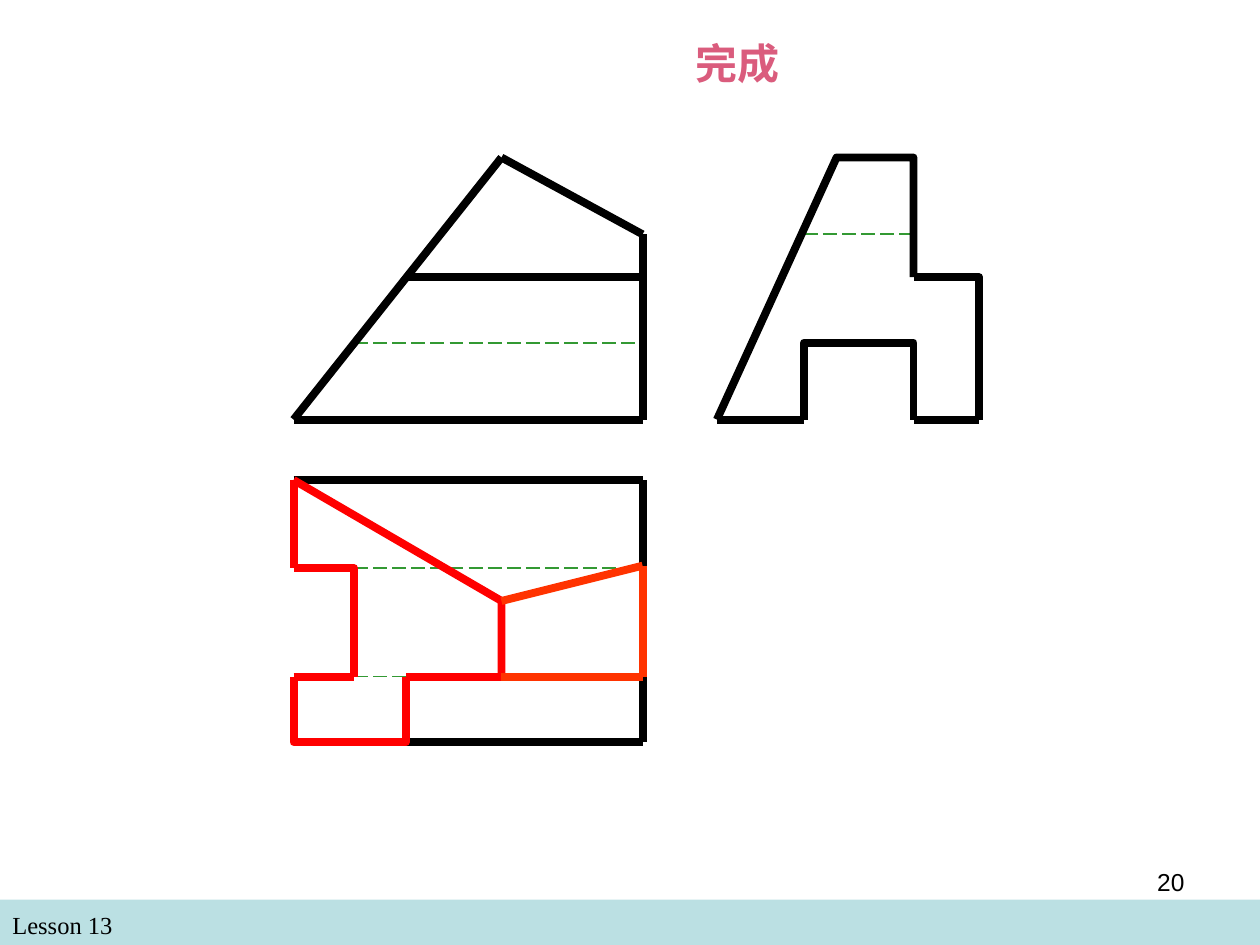
from pptx import Presentation
from pptx.dml.color import RGBColor
from pptx.enum.dml import MSO_LINE
from pptx.enum.shapes import MSO_CONNECTOR, MSO_SHAPE
from pptx.enum.text import MSO_ANCHOR, MSO_AUTO_SIZE, PP_ALIGN
from pptx.oxml.ns import qn
from pptx.util import Inches, Pt
from lxml.etree import SubElement

HUES = {
    "black": "000000",
    "green": "339933",
    "red": "FF0000",
    "orange": "FF3300",
    "pink": "DA5C7D",
    "band": "BBE0E3",
}


def hue(name):
    return RGBColor.from_string(HUES[name])


def write(box, text, place, size=14, font="Times New Roman", color="black",
          bold=False, align=PP_ALIGN.LEFT):
    box.left, box.top, box.width, box.height = [Inches(n) for n in place]
    frame = box.text_frame
    frame.word_wrap = True
    frame.auto_size = MSO_AUTO_SIZE.NONE
    frame.vertical_anchor = MSO_ANCHOR.TOP
    para = frame.paragraphs[0]
    para.alignment = align
    run = para.add_run()
    run.text = text
    run.font.size = Pt(size)
    run.font.name = font
    run.font.bold = bold
    run.font.color.rgb = hue(color)


deck = Presentation()
deck.slide_width = Inches(10)
deck.slide_height = Inches(7.5)
slide = deck.slides.add_slide(deck.slide_layouts[5])
shapes = slide.shapes

band = shapes.add_shape(MSO_SHAPE.RECTANGLE, 0, Inches(7.14), Inches(10), Inches(0.36))
band.shadow.inherit = False
band.fill.solid()
band.fill.fore_color.rgb = hue("band")
band.line.fill.background()

write(shapes.add_textbox(0, 0, 0, 0), "Lesson 13", (0, 7.17, 4.83, 0.34))

left, notch, step, peak, right = 2.33, 2.81, 3.22, 3.98, 5.1
top, eave, ledge, slot, base = 1.25, 1.86, 2.2, 2.72, 3.33
back, rim, rear, ridge, front, edge = 3.81, 4.49, 4.51, 4.77, 5.37, 5.89
toe, leg, crest, wall, end = 5.69, 6.38, 6.64, 7.25, 7.77

front_view = [
    ("green", [(notch, slot), (right, slot)]),
    ("black", [(right, eave), (peak, top)]),
    ("black", [(right, base), (right, eave)]),
    ("black", [(left, base), (right, base)]),
    ("black", [(step, ledge), (right, ledge)]),
    ("black", [(peak, top), (left, base)]),
]
side_view = [
    ("green", [(leg, eave), (wall, eave)]),
    ("black", [(wall, ledge), (end, ledge), (end, base)]),
    ("black", [(wall, base), (end, base)]),
    ("black", [(wall, base), (wall, slot), (leg, slot), (leg, base)]),
    ("black", [(toe, base), (leg, base)]),
    ("black", [(toe, base), (crest, top), (wall, top), (wall, ledge)]),
]
top_view = [
    ("green", [(notch, front), (step, front)]),
    ("green", [(notch, rear), (right, rear)]),
    ("black", [(left, back), (right, back)]),
    ("black", [(right, back), (right, rim)]),
    ("black", [(right, front), (right, edge)]),
    ("black", [(step, edge), (right, edge)]),
    ("red", [(notch, front), (notch, rear), (left, rear)]),
    ("red", [(left, back), (peak, ridge), (peak, front)]),
    ("red", [(peak, front), (step, front)]),
    ("red", [(step, front), (step, edge), (left, edge), (left, front)]),
    ("red", [(left, front), (notch, front)]),
    ("red", [(left, back), (left, rear)]),
    ("orange", [(right, rim), (right, front)]),
    ("orange", [(peak, ridge), (right, rim)]),
    ("orange", [(peak, front), (right, front)]),
]

for color, spots in front_view + side_view + top_view:
    spots = [(Inches(x), Inches(y)) for x, y in spots]
    if len(spots) == 2:
        stroke = shapes.add_connector(MSO_CONNECTOR.STRAIGHT, *spots[0], *spots[1])
        SubElement(stroke.line._get_or_add_ln().getparent(), qn("a:effectLst"))
    else:
        pen = shapes.build_freeform(*spots[0])
        pen.add_line_segments(spots[1:], close=False)
        stroke = pen.convert_to_shape()
        stroke.shadow.inherit = False
        stroke.fill.background()
    stroke.line.color.rgb = hue(color)
    stroke.line.width = Pt(4.5)
    if color == "green":
        stroke.line.width = Pt(1)
        stroke.line.dash_style = MSO_LINE.LONG_DASH

write(shapes.title, "完成", (5.42, 0.25, 1.42, 0.5), size=24, color="pink", bold=True)
write(shapes.add_textbox(0, 0, 0, 0), "20", (7.17, 6.83, 2.33, 0.52),
      font="Arial", align=PP_ALIGN.RIGHT)

deck.save("out.pptx")
